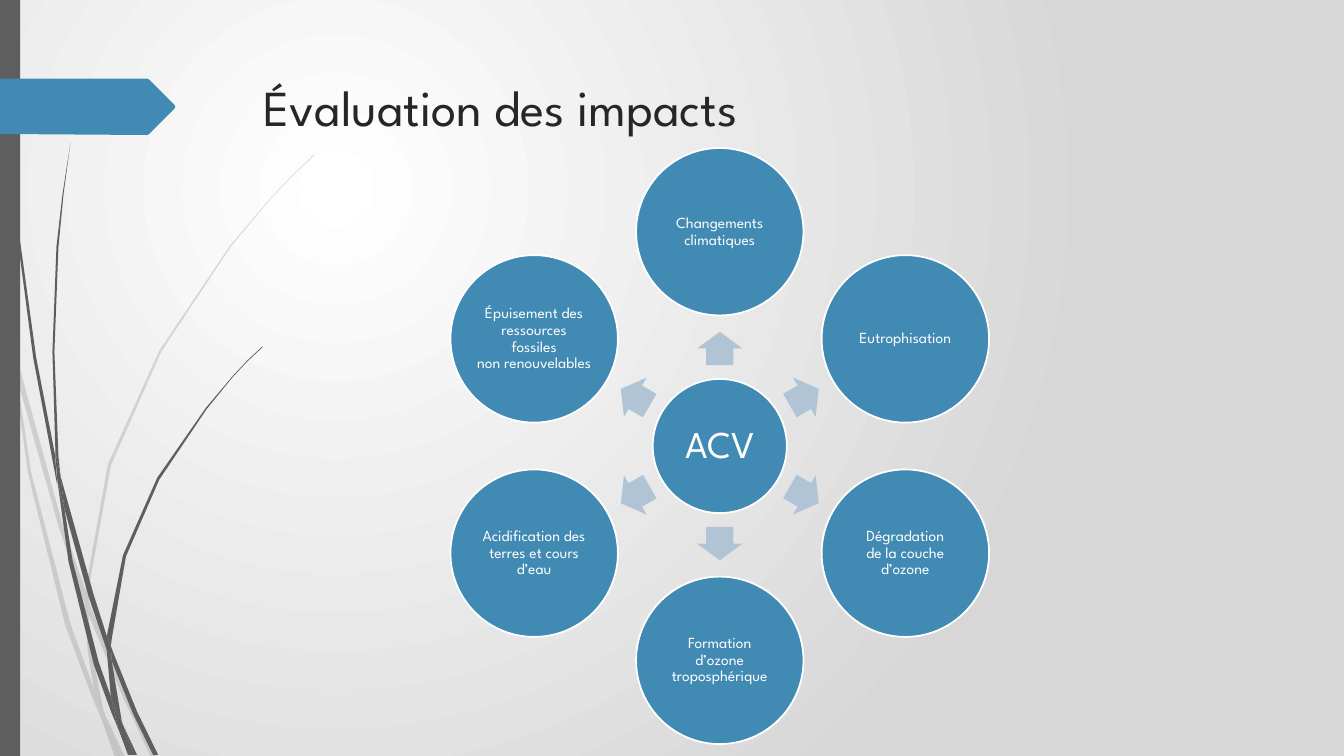
from dataclasses import dataclass
from math import cos, radians, sin

from lxml.etree import SubElement
from pptx import Presentation
from pptx.dml.color import RGBColor
from pptx.enum.shapes import MSO_SHAPE
from pptx.enum.text import MSO_ANCHOR, PP_ALIGN
from pptx.oxml import parse_xml
from pptx.oxml.ns import nsdecls, qn
from pptx.util import Cm, Pt


@dataclass(frozen=True)
class Theme:
    font: str = "League Spartan"
    accent: str = "418AB3"
    arrow: str = "B0C4D6"
    grass: str = "5E5E5E"
    ink: str = "262626"
    paper: str = "FFFFFF"
    shade: str = "D7D7D7"
    title_size: float = 36
    hub_size: float = 27
    impact_size: float = 11
    outline: float = 1.25


OUTLINE_UNIT = Cm(0.0254)

PALE_GRASS = [
    [(11, 350), (9, 322), (0, 282), (0, 299), (10, 344)],
    [(58, 522), (84, 599), (85, 586), (62, 520), (14, 345), (17, 376)],
    [(92, 607), (88, 596), (88, 610), (123, 694), (150, 751), (155, 751), (127, 692)],
    [(119, 751), (124, 751), (105, 711)],
    [(93, 683), (70, 619), (31, 469), (17, 376), (11, 350), (28, 470), (65, 621),
     (92, 693), (101, 714), (99, 707)],
    [(84, 599), (87, 646), (93, 683), (96, 692), (105, 711), (103, 706), (91, 646),
     (88, 610), (88, 608)],
    [(88, 584), (110, 462), (160, 349), (229, 245), (268, 198), (290, 175), (312, 154),
     (312, 153), (289, 175), (268, 197), (228, 244), (158, 348), (107, 461), (85, 584),
     (85, 586), (88, 596)],
    [(101, 714), (114, 751), (119, 751)],
    [(88, 608), (88, 610), (88, 596), (85, 586), (84, 599)],
    [(96, 692), (93, 683), (99, 707), (101, 714), (119, 751), (105, 711)],
]

DARK_GRASS = [
    [(7, 110), (17, 233), (33, 355), (56, 477), (57, 481), (55, 457), (55, 453),
     (36, 355), (19, 232), (8, 109), (5, 48), (4, 0), (3, 0), (4, 48)],
    [(88, 592), (106, 645), (106, 633), (106, 631), (93, 590), (60, 472), (64, 505)],
    [(113, 649), (110, 641), (111, 656), (132, 708), (152, 749), (157, 749), (136, 706)],
    [(110, 691), (98, 657), (72, 556), (64, 505), (57, 477), (68, 557), (93, 659),
     (111, 708), (117, 722), (116, 717)],
    [(60, 472), (58, 453), (54, 349), (58, 245), (63, 193), (70, 141), (62, 193),
     (56, 245), (52, 349), (55, 449)],
    [(133, 749), (136, 749), (122, 719)],
    [(57, 477), (64, 505), (60, 472), (55, 449), (55, 453)],
    [(111, 633), (125, 552), (158, 476), (205, 406), (231, 374), (245, 359), (261, 344),
     (260, 344), (245, 358), (231, 373), (204, 405), (156, 474), (122, 551), (106, 631),
     (110, 641)],
    [(117, 722), (127, 749), (131, 749)],
    [(106, 645), (110, 691), (116, 706), (122, 719), (121, 716), (111, 656), (109, 651)],
    [(106, 645), (109, 651), (111, 656), (110, 641), (106, 631), (106, 633)],
    [(116, 706), (110, 691), (116, 717), (117, 722), (130, 749), (133, 749), (122, 719)],
]

TITLE_TAG = [(0, 78), (146, 78), (148, 79), (173, 104), (174, 106), (173, 108),
             (148, 133), (146, 134), (0, 133)]

IMPACTS = [
    "Changements\nclimatiques",
    "Eutrophisation",
    "Dégradation\nde la couche\nd’ozone",
    "Formation d’ozone\ntroposphérique",
    "Acidification des\nterres et cours\nd’eau",
    "Épuisement des\nressources fossiles\nnon renouvelables",
]


class ImpactSlide:
    def __init__(self, slide, theme):
        self.slide = slide
        self.shapes = slide.shapes
        self.theme = theme

    def backdrop(self):
        fill = self.slide.background.fill
        fill.gradient()
        for stop, position, color in zip(
            fill.gradient_stops, (0, 1), (self.theme.paper, self.theme.shade)
        ):
            stop.position = position
            stop.color.rgb = RGBColor.from_string(color)
        gradient = self.slide.element.find(".//" + qn("a:gradFill"))
        gradient.replace(
            gradient.find(qn("a:lin")),
            parse_xml(
                f'<a:path {nsdecls("a")} path="circle"><a:fillToRect '
                'l="50000" t="50000" r="100000" b="100000"/></a:path>'
            ),
        )

    def paint(self, shape, color):
        shape.shadow.inherit = False
        shape.fill.solid()
        shape.fill.fore_color.rgb = RGBColor.from_string(color)
        shape.line.fill.background()
        return shape

    def outline(self, points, color, opacity=100):
        builder = self.shapes.build_freeform(*points[0], scale=OUTLINE_UNIT)
        builder.add_line_segments(points[1:], close=True)
        shape = self.paint(builder.convert_to_shape(), color)
        if opacity < 100:
            tint = shape.element.find(".//" + qn("a:srgbClr"))
            SubElement(tint, qn("a:alpha"), val=str(opacity * 1000))

    def bar(self, left, top, width, height, color):
        bar = self.shapes.add_shape(
            MSO_SHAPE.RECTANGLE, Cm(left), Cm(top), Cm(width), Cm(height)
        )
        self.paint(bar, color)

    def set_text(self, frame, text, size, color):
        frame.word_wrap = True
        paragraph = frame.paragraphs[0]
        paragraph.text = text
        paragraph.alignment = PP_ALIGN.CENTER
        paragraph.font.name = self.theme.font
        paragraph.font.size = Pt(size)
        paragraph.font.color.rgb = RGBColor.from_string(color)
        return paragraph

    def title(self, text, left, top, width, height):
        box = self.shapes.add_textbox(Cm(left), Cm(top), Cm(width), Cm(height))
        self.set_text(box.text_frame, text, self.theme.title_size, self.theme.ink)

    def centered(self, preset, x, y, width, height, color):
        shape = self.shapes.add_shape(
            preset, Cm(x - width / 2), Cm(y - height / 2), Cm(width), Cm(height)
        )
        return self.paint(shape, color)

    def disc(self, text, x, y, diameter, size, inset):
        disc = self.centered(MSO_SHAPE.OVAL, x, y, diameter, diameter, self.theme.accent)
        disc.line.color.rgb = RGBColor.from_string(self.theme.paper)
        disc.line.width = Pt(self.theme.outline)
        frame = disc.text_frame
        frame.margin_left = frame.margin_right = Cm(inset)
        frame.margin_top = frame.margin_bottom = Cm(inset)
        frame.vertical_anchor = MSO_ANCHOR.MIDDLE
        self.set_text(frame, text, size, self.theme.paper).line_spacing = 0.9

    def arrow(self, x, y, angle):
        arrow = self.centered(MSO_SHAPE.RIGHT_ARROW, x, y, 0.84, 1.14, self.theme.arrow)
        arrow.adjustments[0] = 0.6
        arrow.adjustments[1] = 0.5
        arrow.rotation = angle % 360

    def wheel(self, hub, impacts, x, y):
        self.disc(hub, x, y, 3.38, self.theme.hub_size, 0.1)
        for index, impact in enumerate(impacts):
            angle = 360 / len(impacts) * index - 90
            dx, dy = cos(radians(angle)), sin(radians(angle))
            self.arrow(x + 2.46 * dx, y + 2.46 * dy, angle)
            self.disc(impact, x + 5.4 * dx, y + 5.4 * dy, 4.22, self.theme.impact_size, 0.05)


def main():
    deck = Presentation()
    deck.slide_width, deck.slide_height = Cm(33.87), Cm(19.05)
    theme = Theme()
    page = ImpactSlide(deck.slides.add_slide(deck.slide_layouts[6]), theme)
    page.backdrop()
    for blade in PALE_GRASS:
        page.outline(blade, theme.grass, opacity=20)
    for blade in DARK_GRASS:
        page.outline(blade, theme.grass)
    page.bar(0, 0, 0.51, 19.05, theme.grass)
    page.outline(TITLE_TAG, theme.accent)
    page.title("Évaluation des impacts", 4.45, 1.8, 16.33, 2.72)
    page.wheel("ACV", IMPACTS, 18.14, 11.24)
    deck.save("out.pptx")


if __name__ == "__main__":
    main()
